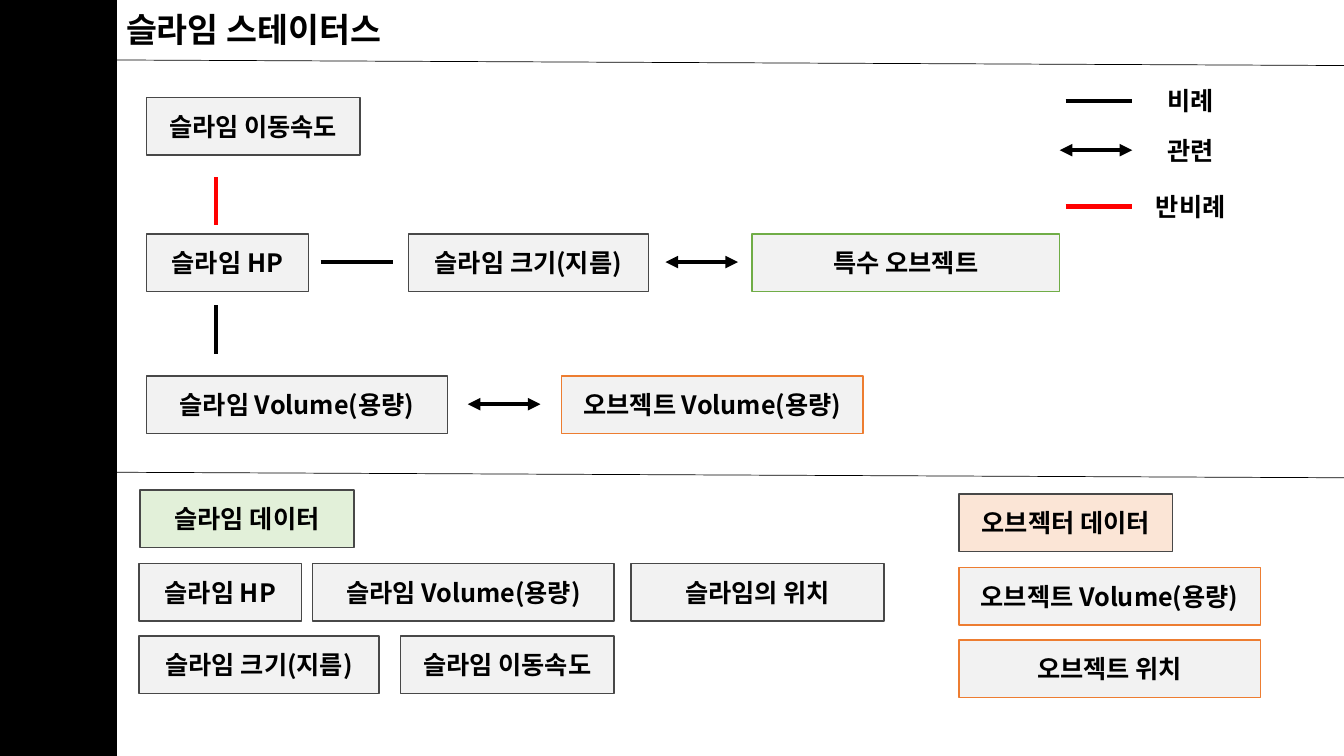
from lxml import etree
from pptx import Presentation
from pptx.dml.color import RGBColor
from pptx.enum import shapes, text
from pptx.oxml import ns
from pptx.util import Inches, Pt

BLACK = RGBColor(0x00, 0x00, 0x00)
RED = RGBColor(0xFF, 0x00, 0x00)
GRAY = RGBColor(0x48, 0x48, 0x48)
GREEN = RGBColor(0x70, 0xAD, 0x47)
ORANGE = RGBColor(0xED, 0x7D, 0x31)
PALE_GRAY = RGBColor(0xF2, 0xF2, 0xF2)
PALE_GREEN = RGBColor(0xE2, 0xF0, 0xD9)
PALE_ORANGE = RGBColor(0xFB, 0xE5, 0xD6)
FONT = "Noto Sans CJK KR"
BOX_HEIGHT = 0.57

TITLE = "슬라임 스테이터스"
HP = "슬라임 HP"
SIZE = "슬라임 크기(지름)"
SPEED = "슬라임 이동속도"
VOLUME = "슬라임 Volume(용량)"
PLACE = "슬라임의 위치"
SPECIAL = "특수 오브젝트"
OBJECT_VOLUME = "오브젝트 Volume(용량)"
OBJECT_PLACE = "오브젝트 위치"
SLIME_DATA = "슬라임 데이터"
OBJECT_DATA = "오브젝터 데이터"

STYLES = {
    HP: (1.61, PALE_GRAY, GRAY),
    SIZE: (2.38, PALE_GRAY, GRAY),
    SPEED: (2.12, PALE_GRAY, GRAY),
    VOLUME: (2.99, PALE_GRAY, GRAY),
    PLACE: (2.51, PALE_GRAY, GRAY),
    SPECIAL: (3.05, PALE_GRAY, GREEN),
    OBJECT_VOLUME: (2.99, PALE_GRAY, ORANGE),
    OBJECT_PLACE: (2.99, PALE_GRAY, ORANGE),
    SLIME_DATA: (2.12, PALE_GREEN, GRAY),
    OBJECT_DATA: (2.12, PALE_ORANGE, GRAY),
}
ROWS = [
    (0.97, [(SPEED, 1.45)]),
    (2.32, [(HP, 1.45), (SIZE, 4.05), (SPECIAL, 7.46)]),
    (3.73, [(VOLUME, 1.45), (OBJECT_VOLUME, 5.57)]),
    (4.86, [(SLIME_DATA, 1.39)]),
    (5.59, [(HP, 1.38), (VOLUME, 3.1), (PLACE, 6.26)]),
    (6.31, [(SIZE, 1.38), (SPEED, 3.97)]),
    (4.9, [(OBJECT_DATA, 9.51)]),
    (5.63, [(OBJECT_VOLUME, 9.51)]),
    (6.35, [(OBJECT_PLACE, 9.51)]),
]
DIVIDERS = [(0, 0.59, 13.33, 0.65), (0, 4.68, 13.33, 4.74)]
RELATIONS = [
    (2.14, 1.76, 2.14, 2.23, RED, False),
    (2.14, 3.03, 2.14, 3.51, BLACK, False),
    (3.18, 2.6, 3.9, 2.6, BLACK, False),
    (6.6, 2.6, 7.32, 2.6, BLACK, True),
    (4.64, 4.01, 5.36, 4.01, BLACK, True),
]
LEGEND = [
    ("비례", 1, 10.57, 0.71, BLACK, False),
    ("관련", 1.49, 10.51, 0.71, BLACK, True),
    ("반비례", 2.05, 10.57, 0.96, RED, False),
]
LEGEND_LINE_END = 11.23
LEGEND_CENTER = 11.81


def write(sp, words, size, align):
    tf = sp.text_frame
    tf.text = words
    p = tf.paragraphs[0]
    p.alignment = align
    font = p.font
    font.name = FONT
    font.size = Pt(size)
    font.bold = True
    font.color.rgb = BLACK
    props = p._p.pPr.find(ns.qn("a:defRPr"))
    etree.SubElement(props, ns.qn("a:ea"), typeface=FONT)
    return tf


def add_rect(s, left, top, width, height, fill, line):
    sp = s.shapes.add_shape(shapes.MSO_SHAPE.RECTANGLE, Inches(left), Inches(top),
                            Inches(width), Inches(height))
    sp.shadow.inherit = False
    sp.fill.solid()
    sp.fill.fore_color.rgb = fill
    sp.line.color.rgb = line
    sp.line.width = Pt(1)
    return sp


def add_line(s, x1, y1, x2, y2, color, arrows=False, width=3):
    line = s.shapes.add_connector(shapes.MSO_CONNECTOR.STRAIGHT, Inches(x1), Inches(y1),
                                  Inches(x2), Inches(y2))
    line.line.color.rgb = color
    line.line.width = Pt(width)
    if arrows:
        ln = line.line._get_or_add_ln()
        for end in ("a:headEnd", "a:tailEnd"):
            etree.SubElement(ln, ns.qn(end), type="triangle")
    etree.SubElement(line._element.spPr, ns.qn("a:effectLst"))


def add_title(s):
    sp = s.shapes.title
    sp.left, sp.top, sp.width, sp.height = (Inches(v) for v in (1.15, 0.04, 3.01, 0.5))
    tf = write(sp, TITLE, 24, text.PP_ALIGN.LEFT)
    tf.word_wrap = False
    tf.auto_size = text.MSO_AUTO_SIZE.NONE
    tf.vertical_anchor = text.MSO_ANCHOR.TOP


def add_legend(s):
    for label, y, start, width, color, arrows in LEGEND:
        add_line(s, start, y, LEGEND_LINE_END, y, color, arrows)
        sp = s.shapes.add_textbox(Inches(LEGEND_CENTER - width / 2), Inches(y - 0.2),
                                  Inches(width), Inches(0.4))
        tf = write(sp, label, 18, text.PP_ALIGN.CENTER)
        tf.word_wrap = False
        tf.auto_size = text.MSO_AUTO_SIZE.SHAPE_TO_FIT_TEXT


def main():
    prs = Presentation()
    prs.slide_width, prs.slide_height = Inches(13.33), Inches(7.5)
    s = prs.slides.add_slide(prs.slide_layouts[5])
    add_title(s)
    for ends in DIVIDERS:
        add_line(s, *ends, BLACK, width=0.5)
    add_rect(s, 0, 0, 1.15, 7.5, BLACK, BLACK)
    for top, boxes in ROWS:
        for label, left in boxes:
            width, fill, line = STYLES[label]
            sp = add_rect(s, left, top, width, BOX_HEIGHT, fill, line)
            tf = write(sp, label, 18, text.PP_ALIGN.CENTER)
            tf.vertical_anchor = text.MSO_ANCHOR.MIDDLE
    for relation in RELATIONS:
        add_line(s, *relation)
    add_legend(s)
    prs.save("out.pptx")


if __name__ == "__main__":
    main()
